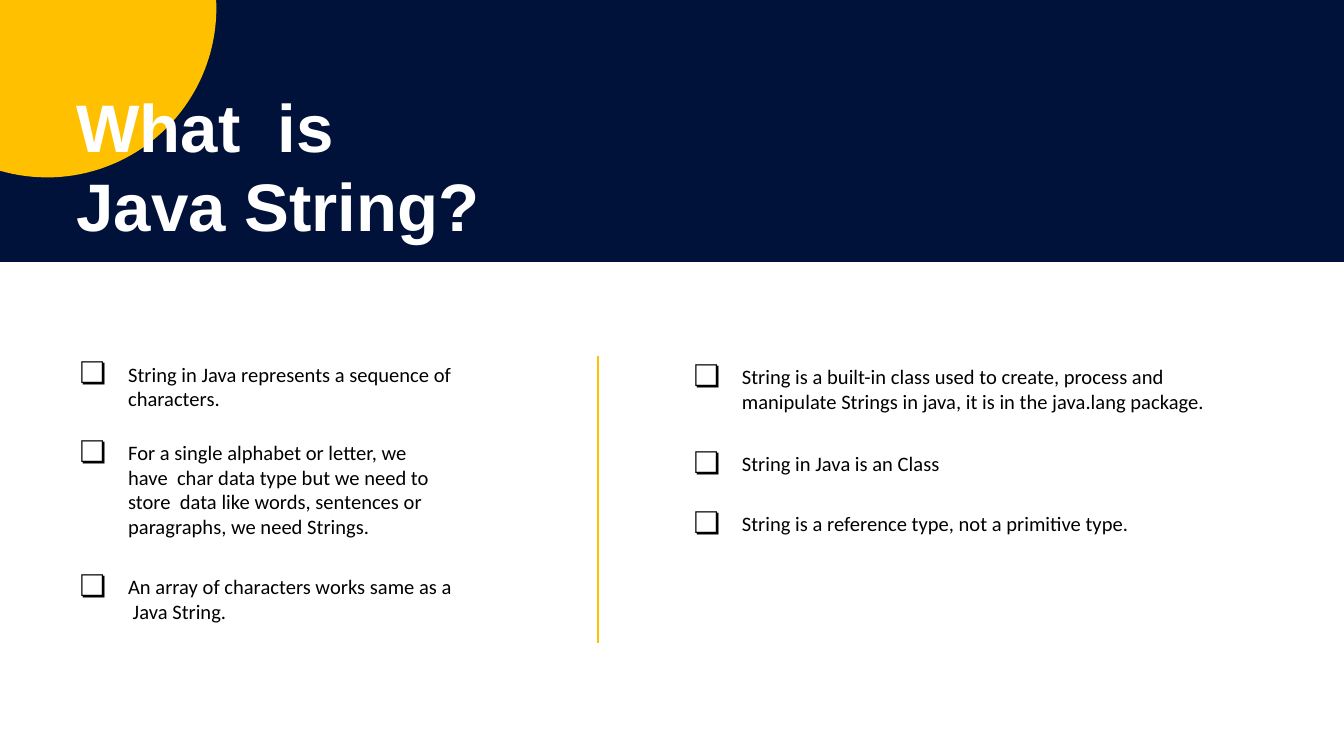
"""Build the Java String slide: banner title above two lists split by a rule."""
import math
from typing import NamedTuple

from lxml import etree
from pptx import Presentation
from pptx import util as u
from pptx.dml.color import RGBColor
from pptx.enum import shapes, text
from pptx.oxml.ns import qn

WIDTH = u.Inches(10)
HEIGHT = WIDTH * 9 // 16
NAVY, AMBER, WHITE, BLACK = "001239", "FFC000", "FFFFFF", "000000"


class Box(NamedTuple):
    """Hold a position and size as percentages of the slide."""
    left: float
    top: float
    width: float
    height: float


class Item(NamedTuple):
    """Hold one list entry and the space before it in points."""
    words: str
    gap: float = 0


class Column(NamedTuple):
    """Hold one list and its place."""
    box: Box
    items: tuple


COLUMNS = (
    Column(Box(5.83, 47.82, 28.1, 36), (
        Item("String in Java represents a sequence of characters."),
        Item("For a single alphabet or letter, we\vhave  char data type but we need to\v"
             "store  data like words, sentences or\vparagraphs, we need Strings.", 15.7),
        Item("An array of characters works same as a\v Java String.", 19),
    )),
    Column(Box(51.5, 48.18, 39, 26), (
        Item("String is a built-in class used to create, process and "
             "manipulate Strings in java, it is in the java.lang package."),
        Item("String in Java is an Class", 20),
        Item("String is a reference type, not a primitive type.", 19),
    )),
)


def across(percent: float) -> int:
    """Convert a percentage of the slide's width to a length."""
    return round(WIDTH * percent / 100)


def down(percent: float) -> int:
    """Convert a percentage of the slide's height to a length."""
    return round(HEIGHT * percent / 100)


def colour(code: str) -> RGBColor:
    """Turn a hex string into a colour."""
    return RGBColor.from_string(code)


def paint(shape, code: str) -> None:
    """Give a shape a plain fill without line or shadow."""
    shape.shadow.inherit = False
    shape.fill.solid()
    shape.fill.fore_color.rgb = colour(code)
    shape.line.fill.background()


def place(holder, box: Box, inset: float) -> None:
    """Move a placeholder and set up its text frame."""
    holder.left, holder.top = across(box.left), down(box.top)
    holder.width, holder.height = across(box.width), down(box.height)
    frame = holder.text_frame
    frame.margin_left = frame.margin_right = frame.margin_bottom = 0
    frame.margin_top = u.Inches(inset)
    frame.word_wrap = True
    frame.auto_size = text.MSO_AUTO_SIZE.NONE
    frame.vertical_anchor = text.MSO_ANCHOR.TOP


def write(paragraph, words: str, *, size: float, face: str, ink: str,
          leading: float, bold: bool = False, gap: float = 0) -> None:
    """Put formatted words into a paragraph."""
    paragraph.text = words
    paragraph.alignment = text.PP_ALIGN.LEFT
    paragraph.line_spacing = u.Pt(leading)
    paragraph.space_before = u.Pt(gap)
    paragraph.space_after = u.Pt(0)
    for run in paragraph.runs:
        run.font.size, run.font.name, run.font.bold = u.Pt(size), face, bold
        run.font.color.rgb = colour(ink)


def add_bullet(paragraph) -> None:
    """Hang a shadowed square before a paragraph."""
    properties = paragraph._p.get_or_add_pPr()
    properties.set("marL", str(u.Inches(0.37)))
    properties.set("indent", str(-u.Inches(0.36)))
    for tag, key, value in (("a:buSzPct", "val", "145000"),
                            ("a:buFont", "typeface", "Karla"),
                            ("a:buChar", "char", "❏")):
        etree.SubElement(properties, qn(tag)).set(key, value)


def draw_banner(slide) -> None:
    """Draw the navy band and the amber disc cut off by its corner."""
    band = slide.shapes.add_shape(shapes.MSO_SHAPE.RECTANGLE, 0, 0, WIDTH, down(34.65))
    paint(band, NAVY)
    centre_x, centre_y, radius = 3.5, 0.6, 12.6
    first = -math.asin(centre_y / radius)
    last = math.acos(-centre_x / radius)
    steps = 48
    angles = [first + (last - first) * step / steps for step in range(steps + 1)]
    rim = [(across(centre_x + radius * math.cos(angle)),
            across(centre_y + radius * math.sin(angle))) for angle in angles]
    builder = slide.shapes.build_freeform(0, 0)
    builder.add_line_segments(rim, close=True)
    paint(builder.convert_to_shape(), AMBER)


def draw_divider(slide) -> None:
    """Draw the upright rule between the lists."""
    divider = slide.shapes.add_connector(
        shapes.MSO_CONNECTOR.STRAIGHT, across(44.5), down(47.1), across(44.5), down(85.05))
    divider.line.color.rgb = colour(AMBER)
    divider.line.width = u.Pt(1.5)
    etree.SubElement(divider._element.spPr, qn("a:effectLst"))


def fill_column(holder, column: Column) -> None:
    """Write one list into a body placeholder."""
    place(holder, column.box, 0)
    frame = holder.text_frame
    for index, item in enumerate(column.items):
        paragraph = frame.add_paragraph() if index else frame.paragraphs[0]
        add_bullet(paragraph)
        write(paragraph, item.words, size=11, face="Calibri", ink=BLACK,
              leading=13.2, gap=item.gap)


def main() -> None:
    """Build and save the slide."""
    deck = Presentation()
    deck.slide_width, deck.slide_height = WIDTH, HEIGHT
    slide = deck.slides.add_slide(deck.slide_layouts.get_by_name("Two Content"))
    heading, *bodies = slide.placeholders
    draw_banner(slide)
    slide.shapes._spTree.append(heading._element)
    place(heading, Box(5.7, 10.84, 30.3, 21.5), 0.04)
    write(heading.text_frame.paragraphs[0], "What  is Java String?", size=36,
          face="Arial", ink=WHITE, leading=42.1, bold=True)
    draw_divider(slide)
    for holder, column in zip(bodies, COLUMNS):
        fill_column(holder, column)
    deck.save("out.pptx")


if __name__ == "__main__":
    main()
